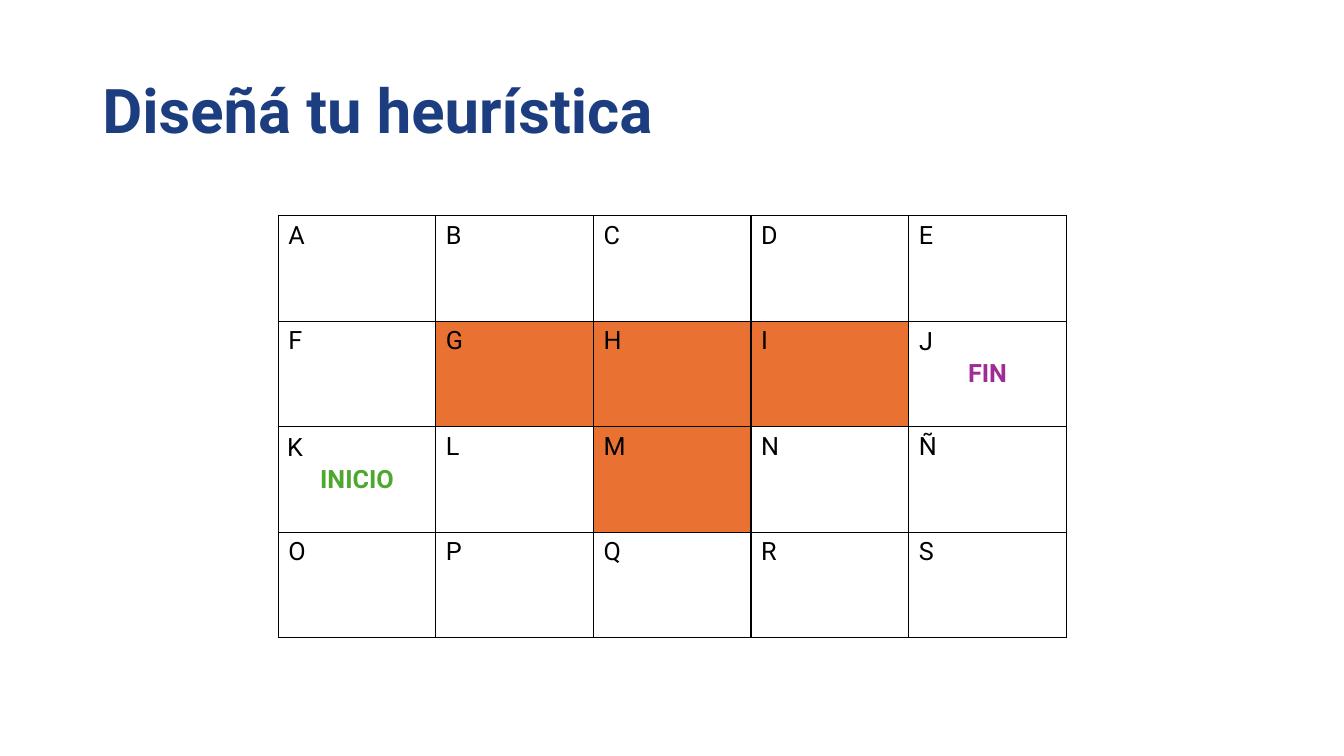
from lxml.etree import SubElement
from pptx import Presentation
from pptx.dml.color import RGBColor as Rgb
from pptx.enum.text import MSO_ANCHOR as Anchor, PP_ALIGN as Align
from pptx.oxml.ns import qn
from pptx.util import Pt

TITLE = "Diseñá tu heurística"
GRID = [
    ["A", "B", "C", "D", "E"],
    ["F", "G", "H", "I", "FIN"],
    ["INICIO", "L", "M", "N", "Ñ"],
    ["O", "P", "Q", "R", "S"],
]
WALLS = "GHIM"
CORNER_LETTERS = [("J", 649.4, 229), ("K", 198, 304.6)]
COLORS = {
    "title": "1C3D80",
    "text": "000000",
    "wall": "E97132",
    "FIN": "A02B93",
    "INICIO": "4EA72E",
}
FONT = "Roboto"
GRID_LEFT, GRID_TOP = 198.7, 154.1
CELL_WIDTH, CELL_HEIGHT = 112.6, 75.4


def style(para, size, color, bold=False):
    """Set the font of a paragraph."""
    font = para.font
    font.name, font.size, font.bold = FONT, Pt(size), bold
    font.color.rgb = Rgb.from_string(COLORS[color])


def add_text(page, text, place, size, color, bold=False):
    """Add a text box and return its frame."""
    frame = page.shapes.add_textbox(*map(Pt, place)).text_frame
    frame.word_wrap = True
    frame.text = text
    style(frame.paragraphs[0], size, color, bold)
    return frame


def add_borders(cell):
    """Draw a thin line on all four sides of a cell."""
    props = cell._tc.get_or_add_tcPr()
    for index, side in enumerate(("lnL", "lnR", "lnT", "lnB")):
        line = props.makeelement(qn(f"a:{side}"), {"w": str(Pt(1))})
        fill = SubElement(line, qn("a:solidFill"))
        SubElement(fill, qn("a:srgbClr"), val=COLORS["text"])
        props.insert(index, line)


def fill_cell(cell, text):
    """Write one square of the map."""
    cell.text = text
    para = cell.text_frame.paragraphs[0]
    if text in COLORS:
        style(para, 18, text, True)
        para.alignment = Align.CENTER
        cell.vertical_anchor = Anchor.MIDDLE
    else:
        style(para, 18, "text")
    if text in WALLS:
        cell.fill.solid()
        cell.fill.fore_color.rgb = Rgb.from_string(COLORS["wall"])
    else:
        cell.fill.background()
    add_borders(cell)


def add_grid(page):
    """Add the map as a table."""
    rows, cols = len(GRID), len(GRID[0])
    place = (GRID_LEFT, GRID_TOP, cols * CELL_WIDTH, rows * CELL_HEIGHT)
    table = page.shapes.add_table(rows, cols, *map(Pt, place)).table
    table.first_row = table.horz_banding = False
    for column in table.columns:
        column.width = Pt(CELL_WIDTH)
    for row, texts in zip(table.rows, GRID):
        row.height = Pt(CELL_HEIGHT)
        for cell, text in zip(row.cells, texts):
            fill_cell(cell, text)


def main():
    """Build the slide and save it."""
    deck = Presentation()
    deck.slide_width, deck.slide_height = Pt(960), Pt(540)
    page = deck.slides.add_slide(deck.slide_layouts[6])
    title = add_text(page, TITLE, (66, 28.8, 828, 104.4), 44, "title", True)
    title.vertical_anchor = Anchor.MIDDLE
    title.paragraphs[0].line_spacing = 0.9
    add_grid(page)
    for letter, left, top in CORNER_LETTERS:
        add_text(page, letter, (left, top, 28.1, 29.1), 18, "text")
    deck.save("out.pptx")


if __name__ == "__main__":
    main()
